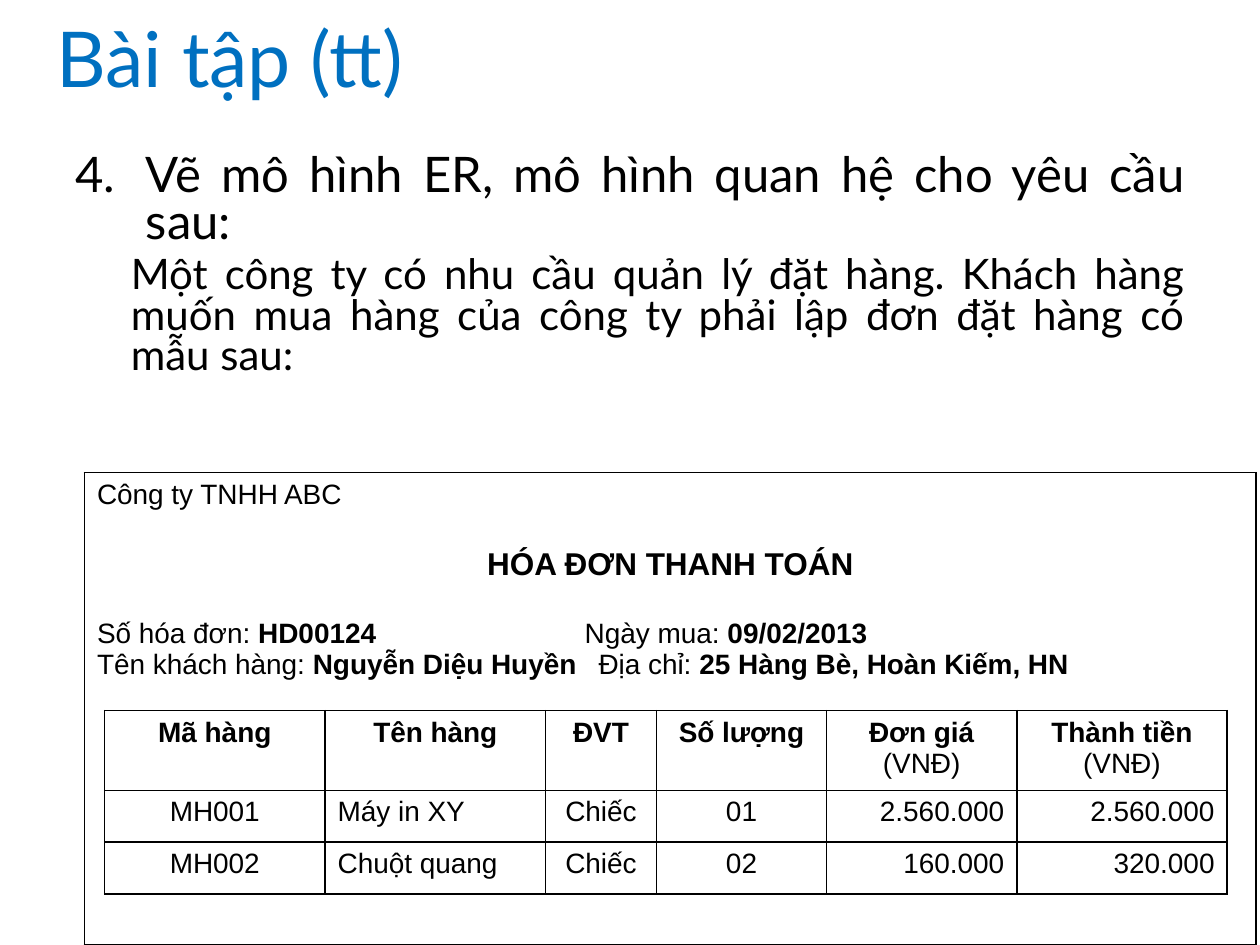
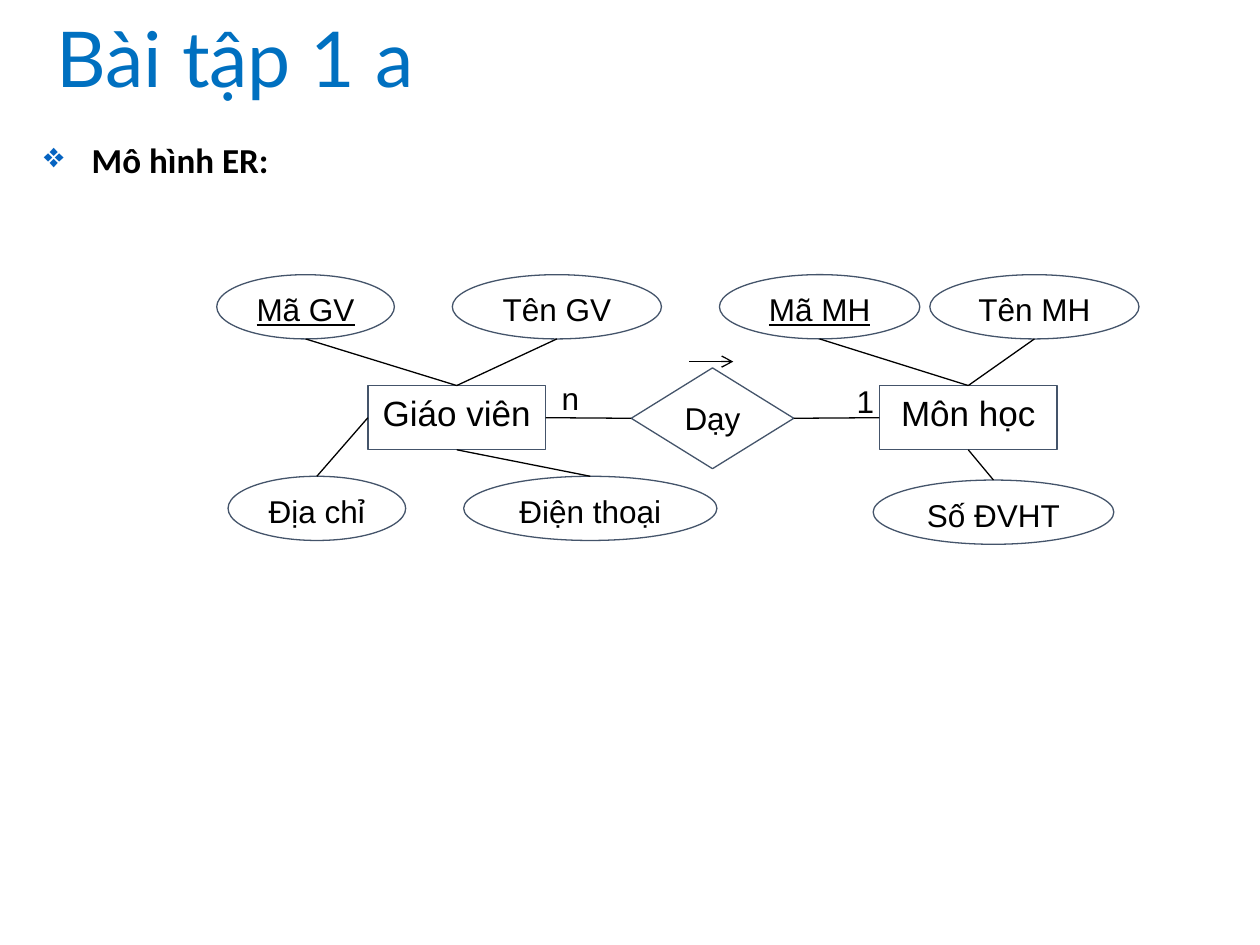
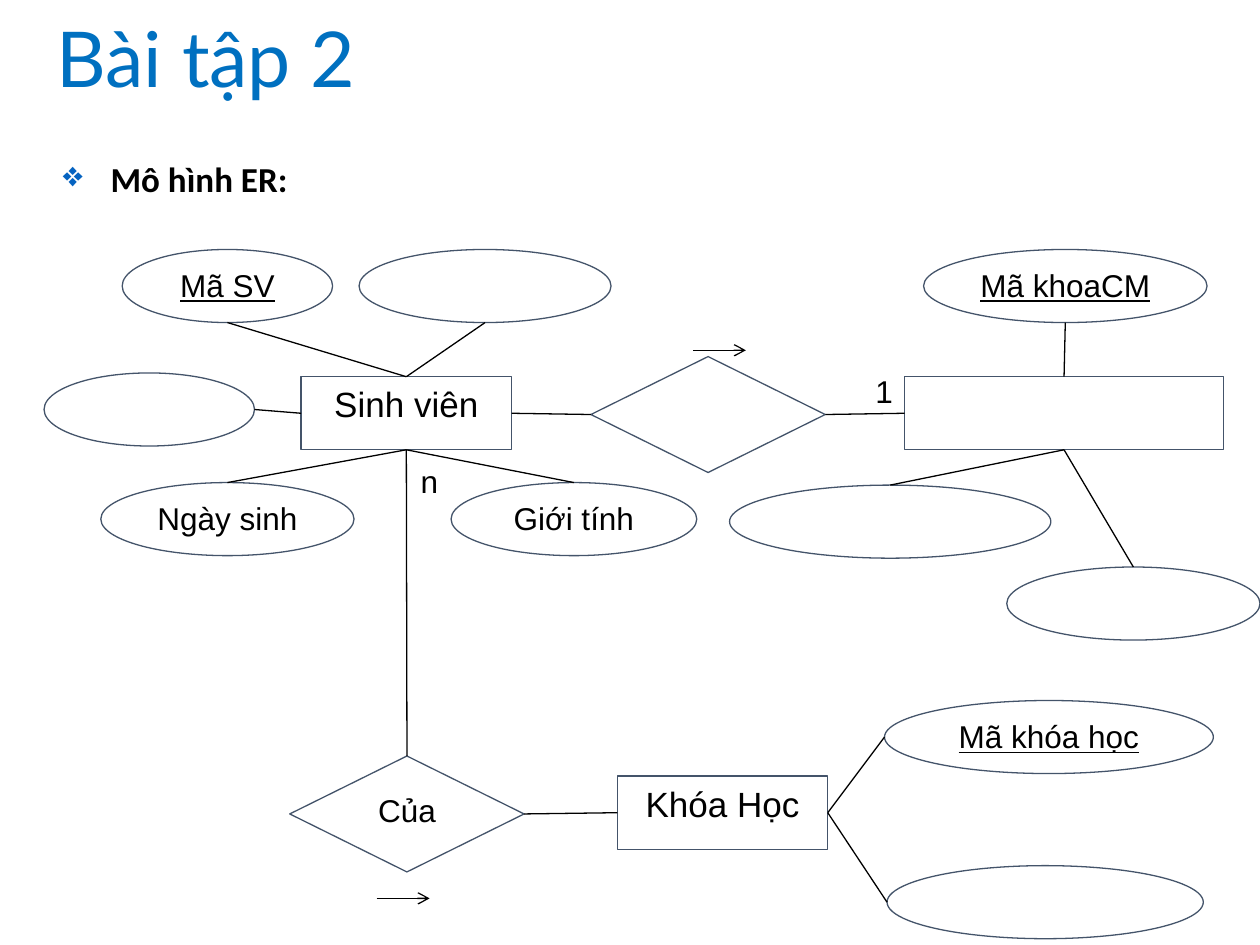
from lxml import etree
from pptx import Presentation
from pptx.dml.color import RGBColor
from pptx.enum.shapes import MSO_CONNECTOR, MSO_SHAPE
from pptx.enum.text import MSO_ANCHOR, PP_ALIGN
from pptx.oxml.ns import qn
from pptx.util import Inches, Pt

LEFT, MID, RIGHT, JUST = PP_ALIGN.LEFT, PP_ALIGN.CENTER, PP_ALIGN.RIGHT, PP_ALIGN.JUSTIFY
RECT, OVAL, RHOMB = MSO_SHAPE.RECTANGLE, MSO_SHAPE.OVAL, MSO_SHAPE.FLOWCHART_DECISION
LINE = MSO_CONNECTOR.STRAIGHT
TOP, WEST, LOW, EAST = range(4)


class Theme:
    blue = RGBColor(0x00, 0x70, 0xC0)
    ink = RGBColor(0, 0, 0)
    edge = RGBColor(0x44, 0x54, 0x6A)
    mark = "0563C1"
    lato, arial, bold = "Lato", "Arial", "Calibri"
    title, task, text, entity, label, cell = 44, 28, 24, 20, 18, 16
    thin = 0.75


def write(para, runs, size, font=Theme.arial, align=LEFT, color=Theme.ink):
    """Add (text, style) runs; style holds b for bold and u for underline."""
    para.alignment = align
    for words, style in runs:
        run = para.add_run()
        run.text = words
        run.font.size, run.font.name = Pt(size), font
        run.font.color.rgb = color
        run.font.bold = "b" in style
        run.font.underline = "u" in style


def draw(slide, start, end, arrow=False):
    """Draw a line; each end is an (x, y) point or a (shape, side) pair."""
    spots = []
    for a, b in (start, end):
        if hasattr(a, "width"):
            x = a.left + a.width * {WEST: 0, EAST: 2}.get(b, 1) // 2
            y = a.top + a.height * {TOP: 0, LOW: 2}.get(b, 1) // 2
            spots += [x, y]
        else:
            spots += [Inches(a), Inches(b)]
    link = slide.shapes.add_connector(LINE, *spots)
    for (a, b), tie in ((start, link.begin_connect), (end, link.end_connect)):
        if hasattr(a, "width") and a.auto_shape_type != OVAL:
            tie(a, b)
    link.line.color.rgb, link.line.width = Theme.ink, Pt(Theme.thin)
    if arrow:
        etree.SubElement(link.line._get_or_add_ln(), qn("a:tailEnd"), type="arrow")
    etree.SubElement(link._element.spPr, qn("a:effectLst"))


deck = Presentation()
deck.slide_width, deck.slide_height = Inches(10), Inches(7.5)

# Slides with their shared title
slides = []
for name in ("Bài tập (tt)", "Bài tập 1 a", "Bài tập 2"):
    slide = deck.slides.add_slide(deck.slide_layouts[6])
    frame = slide.shapes.add_textbox(Inches(0.35), 0, Inches(8.48), Inches(0.99)).text_frame
    frame.word_wrap, frame.vertical_anchor = True, MSO_ANCHOR.MIDDLE
    frame.paragraphs[0].line_spacing = 0.9
    write(frame.paragraphs[0], [(name, "")], Theme.title, Theme.lato, color=Theme.blue)
    slides.append(slide)

# Slide 1: task text
first = slides[0]
frame = first.shapes.add_textbox(Inches(0.5), Inches(1.18), Inches(9), Inches(2.07)).text_frame
frame.word_wrap = True
tasks = [
    ("Vẽ mô hình ER, mô hình quan hệ cho yêu cầu sau:", Theme.task, 10, 0.56, -0.56),
    ("Một công ty có nhu cầu quản lý đặt hàng. Khách hàng muốn mua hàng của công ty "
     "phải lập đơn đặt hàng có mẫu sau:", Theme.text, 5, 0.44, 0),
]
for i, (words, size, gap, left, hang) in enumerate(tasks):
    para = frame.add_paragraph() if i else frame.paragraphs[0]
    write(para, [(words, "")], size, Theme.lato, JUST)
    para.line_spacing, para.space_before = 0.8, Pt(gap)
    props = para._p.get_or_add_pPr()
    props.set("marL", str(Inches(left)))
    props.set("indent", str(Inches(hang)))
    if hang:
        etree.SubElement(props, qn("a:buAutoNum"), type="arabicPeriod", startAt="4")

# Slide 1: invoice frame and item table
sizes = [
    (0.67, 3.75, [9.3], [3.75]),
    (0.83, 5.64, [1.75, 1.75, 0.88, 1.35, 1.51, 1.67], [0.59, 0.41, 0.41]),
]
grids = []
for left, top, wides, highs in sizes:
    grid = first.shapes.add_table(len(highs), len(wides), Inches(left), Inches(top),
                                  Inches(sum(wides)), Inches(sum(highs))).table
    grid.first_row = grid.horz_banding = False
    for col, wide in zip(grid.columns, wides):
        col.width = Inches(wide)
    for row, high in zip(grid.rows, highs):
        row.height = Inches(high)
    for cell in grid.iter_cells():
        cell.fill.background()
        props = cell._tc.get_or_add_tcPr()
        for i, side in enumerate("LRTB"):
            rule = etree.Element(qn("a:ln" + side), w=str(Pt(1)))
            fill = etree.SubElement(rule, qn("a:solidFill"))
            etree.SubElement(fill, qn("a:srgbClr"), val=str(Theme.ink))
            props.insert(i, rule)
    grids.append(grid)
form, items = grids

# Invoice heading: runs, size, alignment, gap after, tab stop
heads = [
    ([("Công ty TNHH ABC", "")], Theme.cell, LEFT, 21, 0),
    ([("HÓA ĐƠN THANH TOÁN", "b")], Theme.label, MID, 21, 0),
    ([("Số hóa đơn: ", ""), ("HD00124\t", "b"), ("Ngày mua: ", ""), ("09/02/2013", "b")],
     Theme.cell, LEFT, 0, 3.87),
    ([("Tên khách hàng: ", ""), ("Nguyễn Diệu Huyền\t", "b"), ("Địa chỉ: ", ""),
      ("25 Hàng Bè, Hoàn Kiếm, HN", "b")], Theme.cell, LEFT, 0, 3.98),
]
frame = form.cell(0, 0).text_frame
for i, (runs, size, align, gap, stop) in enumerate(heads):
    para = frame.add_paragraph() if i else frame.paragraphs[0]
    write(para, runs, size, align=align)
    para.space_after = Pt(gap)
    if stop:
        tabs = etree.SubElement(para._p.get_or_add_pPr(), qn("a:tabLst"))
        etree.SubElement(tabs, qn("a:tab"), pos=str(Inches(stop)), algn="l")

# Item rows
names = ["Mã hàng", "Tên hàng", "ĐVT", "Số lượng", "Đơn giá ", "Thành tiền "]
for i, name in enumerate(names):
    runs = [(name, "b")] + ([("(VNĐ)", "")] if i > 3 else [])
    write(items.cell(0, i).text_frame.paragraphs[0], runs, Theme.cell, align=MID)
goods = [
    ["MH001", "Máy in XY", "Chiếc", "01", "2.560.000", "2.560.000"],
    ["MH002", "Chuột quang", "Chiếc", "02", "160.000", "320.000"],
]
aligns = [MID, LEFT, MID, MID, RIGHT, RIGHT]
for r, good in enumerate(goods, 1):
    for c, (words, align) in enumerate(zip(good, aligns)):
        write(items.cell(r, c).text_frame.paragraphs[0], [(words, "")], Theme.cell, align=align)

# Slide 2 model: nodes are key: kind, left, top, width, text, style
teach = {
    "high": {RECT: 0.51, OVAL: 0.51, RHOMB: 0.8},
    "head": (0.25, 1.05),
    "nodes": {
        "staff": (RECT, 2.92, 3.06, 1.41, "Giáo viên", ""),
        "course": (RECT, 6.98, 3.06, 1.41, "Môn học", ""),
        "does": (RHOMB, 5.01, 2.92, 1.29, "Dạy", ""),
        "staff id": (OVAL, 1.72, 2.18, 1.41, "Mã GV", "u"),
        "staff name": (OVAL, 3.59, 2.18, 1.66, "Tên GV", ""),
        "course id": (OVAL, 5.71, 2.18, 1.59, "Mã MH", "u"),
        "course name": (OVAL, 7.38, 2.18, 1.66, "Tên MH", ""),
        "home": (OVAL, 1.81, 3.78, 1.41, "Địa chỉ", ""),
        "phone": (OVAL, 3.68, 3.78, 2.01, "Điện thoại", ""),
        "units": (OVAL, 6.93, 3.81, 1.91, "Số ĐVHT", ""),
    },
    "links": [
        ("staff id", LOW, "staff", TOP), ("staff name", LOW, "staff", TOP),
        ("home", TOP, "staff", WEST), ("phone", TOP, "staff", LOW),
        ("course id", LOW, "course", TOP), ("course name", LOW, "course", TOP),
        ("units", TOP, "course", LOW),
        ("staff", EAST, "does", WEST), ("does", EAST, "course", WEST),
    ],
    "arrows": [(5.47, 2.87, 0.35)],
    "counts": [("n", 4.36, 2.96), ("1", 6.7, 2.98)],
}

# Slide 3 model
study = {
    "high": {RECT: 0.58, OVAL: 0.58, RHOMB: 0.92},
    "head": (0.4, 1.2),
    "nodes": {
        "pupil": (RECT, 2.39, 2.99, 1.67, "Sinh viên", ""),
        "school": (RECT, 7.18, 2.99, 2.53, "", ""),
        "class": (RECT, 4.9, 6.16, 1.67, "Khóa Học", ""),
        "joins": (RHOMB, 4.69, 2.83, 1.86, "", ""),
        "owns": (RHOMB, 2.3, 6, 1.86, "Của", ""),
        "pupil id": (OVAL, 0.97, 1.98, 1.67, "Mã SV", "u"),
        "pupil top": (OVAL, 2.85, 1.98, 2, "", ""),
        "pupil left": (OVAL, 0.35, 2.96, 1.67, "", ""),
        "birth": (OVAL, 0.8, 3.83, 2.01, "Ngày sinh", ""),
        "sex": (OVAL, 3.58, 3.83, 1.95, "Giới tính", ""),
        "school id": (OVAL, 7.33, 1.98, 2.25, "Mã khoaCM", "u"),
        "school left": (OVAL, 5.79, 3.85, 2.55, "", ""),
        "school low": (OVAL, 7.99, 4.5, 2.01, "", ""),
        "class id": (OVAL, 7.02, 5.56, 2.61, "Mã khóa học", "u"),
        "class low": (OVAL, 7.04, 6.87, 2.51, "", ""),
    },
    "links": [
        ("pupil id", LOW, "pupil", TOP), ("pupil top", LOW, "pupil", TOP),
        ("pupil left", EAST, "pupil", WEST), ("birth", TOP, "pupil", LOW),
        ("sex", TOP, "pupil", LOW), ("school id", LOW, "school", TOP),
        ("school left", TOP, "school", LOW), ("school low", TOP, "school", LOW),
        ("class", EAST, "class id", WEST), ("class", EAST, "class low", WEST),
        ("pupil", EAST, "joins", WEST), ("joins", EAST, "school", WEST),
        ("pupil", LOW, "owns", TOP), ("owns", EAST, "class", WEST),
    ],
    "arrows": [(5.5, 2.78, 0.42), (2.99, 7.13, 0.42)],
    "counts": [("1", 6.85, 2.9), ("n", 3.24, 3.62)],
}

# Slides 2 and 3: ER diagrams
for slide, model in zip(slides[1:], (teach, study)):
    # Bulleted heading
    left, top = model["head"]
    frame = slide.shapes.add_textbox(Inches(left), Inches(top), Inches(2.6), Inches(0.54)).text_frame
    frame.word_wrap = True
    para = frame.paragraphs[0]
    write(para, [("Mô hình ER:", "b")], Theme.entity, Theme.bold, JUST)
    para.space_before = Pt(4)
    props = para._p.get_or_add_pPr()
    props.set("marL", str(Inches(0.38)))
    props.set("indent", str(Inches(-0.38)))
    tint = etree.SubElement(props, qn("a:buClr"))
    etree.SubElement(tint, qn("a:srgbClr"), val=Theme.mark)
    etree.SubElement(props, qn("a:buChar"), char="❖")

    # Entities, attributes and relations
    nodes = {}
    for key, (kind, left, top, wide, words, style) in model["nodes"].items():
        node = slide.shapes.add_shape(kind, Inches(left), Inches(top),
                                      Inches(wide), Inches(model["high"][kind]))
        node.shadow.inherit = False
        node.fill.background()
        node.line.color.rgb, node.line.width = Theme.edge, Pt(Theme.thin)
        if words:
            frame = node.text_frame
            frame.word_wrap, frame.vertical_anchor = False, MSO_ANCHOR.TOP
            size = Theme.entity if kind == RECT else Theme.label
            write(frame.paragraphs[0], [(words, style)], size, align=MID)
        nodes[key] = node

    # Links and reading arrows
    for a, out, b, into in model["links"]:
        draw(slide, (nodes[a], out), (nodes[b], into))
    for x, y, wide in model["arrows"]:
        draw(slide, (x, y), (x + wide, y), arrow=True)

    # Cardinalities
    for words, left, top in model["counts"]:
        frame = slide.shapes.add_textbox(Inches(left), Inches(top), Inches(0.3), Inches(0.4)).text_frame
        frame.word_wrap = False
        write(frame.paragraphs[0], [(words, "")], Theme.label)

deck.save("out.pptx")
